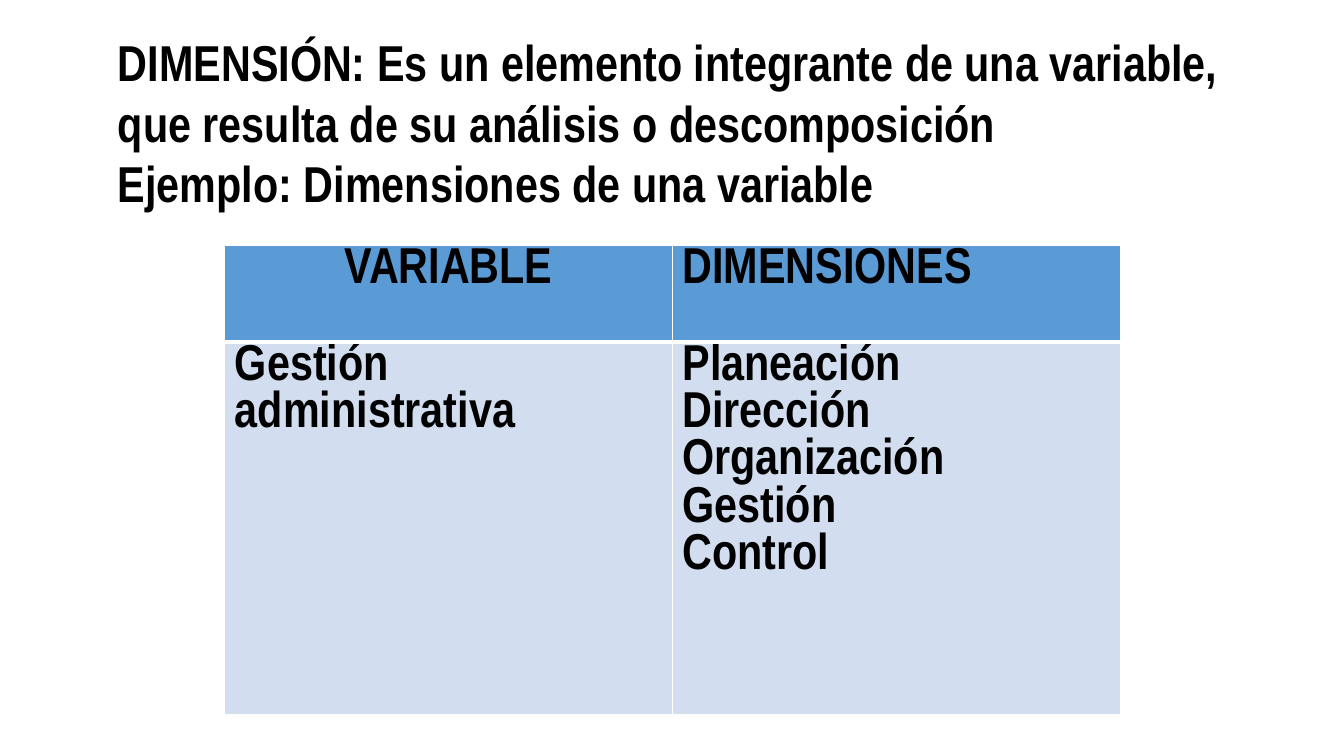
from lxml import etree
from pptx import Presentation
from pptx.dml.color import RGBColor
from pptx.enum.text import MSO_ANCHOR, MSO_AUTO_SIZE, PP_ALIGN
from pptx.oxml.ns import qn
from pptx.util import Inches, Pt

LEFT, CENTER = PP_ALIGN.LEFT, PP_ALIGN.CENTER
TOP = MSO_ANCHOR.TOP
FIXED = MSO_AUTO_SIZE.NONE
BLACK = RGBColor(0x00, 0x00, 0x00)
WHITE = RGBColor(0xFF, 0xFF, 0xFF)
BLUE = RGBColor(0x5B, 0x9B, 0xD5)
PALE = RGBColor(0xD2, 0xDE, 0xEF)
FONT = "Arial Narrow"

TITLE = [
    "DIMENSIÓN: Es un elemento integrante de una variable, "
    "que resulta de su análisis o descomposición",
    "Ejemplo: Dimensiones de una variable",
]
ROWS = [
    (0.96, BLUE, [(["VARIABLE"], CENTER), (["DIMENSIONES"], LEFT)]),
    (3.7, PALE, [
        (["Gestión administrativa"], LEFT),
        (["Planeación", "Dirección", "Organización", "Gestión", "Control"], LEFT),
    ]),
]


def write(frame, lines, align, spacing):
    frame.text = "\n".join(lines)
    for para in frame.paragraphs:
        para.alignment = align
        para.line_spacing = spacing
        para.space_before = para.space_after = Pt(0)
        font = para.font
        font.name, font.size, font.bold = FONT, Pt(36), True
        font.color.rgb = BLACK


def add_edge(cell, side, width):
    props = cell._tc.get_or_add_tcPr()
    line = etree.SubElement(props, qn(f"a:{side}"), w=str(Pt(width)))
    fill = etree.SubElement(line, qn("a:solidFill"))
    etree.SubElement(fill, qn("a:srgbClr"), val=str(WHITE))


def set_title(slide):
    title = slide.shapes.title
    title.left, title.top = Inches(1.07), Inches(0.26)
    title.width, title.height = Inches(11.64), Inches(3.13)
    frame = title.text_frame
    frame.word_wrap = True
    frame.auto_size = FIXED
    frame.vertical_anchor = TOP
    write(frame, TITLE, LEFT, 1.0)


def add_grid(slide):
    table = slide.shapes.add_table(
        2, 2, Inches(2.23), Inches(2.43), Inches(8.88), Inches(4.66)
    ).table
    for row, (height, color, texts) in enumerate(ROWS):
        table.rows[row].height = Inches(height)
        for col, (lines, align) in enumerate(texts):
            cell = table.cell(row, col)
            cell.margin_top = Inches(0.02)
            write(cell.text_frame, lines, align, Pt(33.75))
            for side in ("lnL", "lnR"):
                add_edge(cell, side, 1)
            add_edge(cell, "lnT", 1 if row == 0 else 3)
            add_edge(cell, "lnB", 3 if row == 0 else 1)
            cell.fill.solid()
            cell.fill.fore_color.rgb = color


def main():
    deck = Presentation()
    deck.slide_width, deck.slide_height = Inches(13.33), Inches(7.5)
    slide = deck.slides.add_slide(deck.slide_layouts[5])
    set_title(slide)
    add_grid(slide)
    deck.save("out.pptx")


if __name__ == "__main__":
    main()
